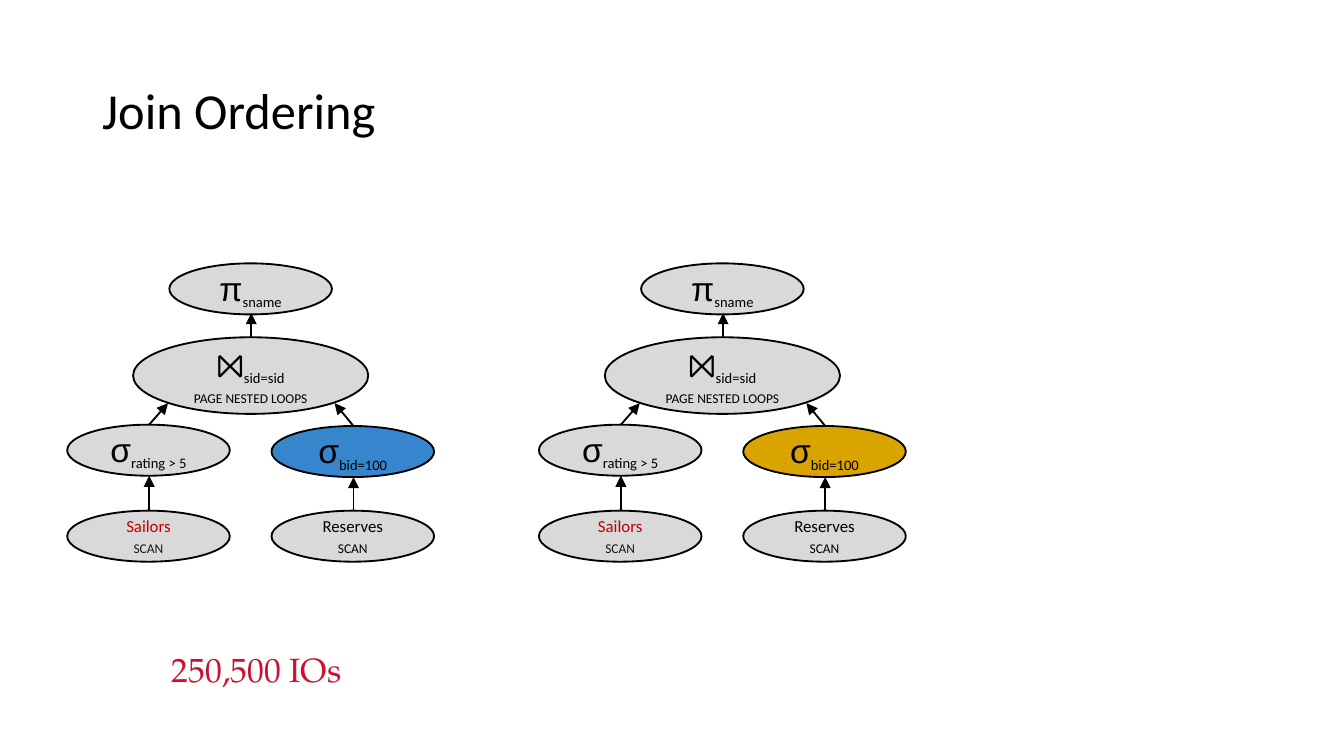
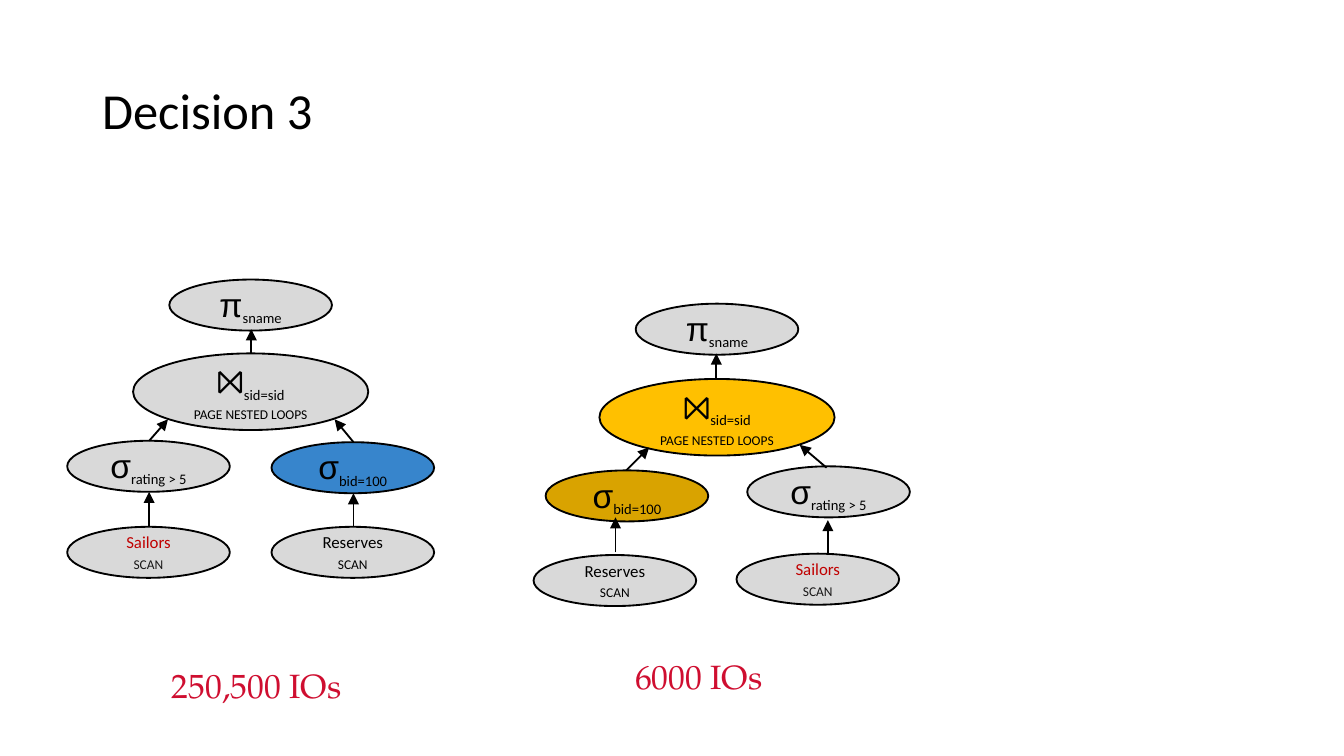
from dataclasses import dataclass

from lxml.etree import SubElement as Sub
from pptx import Presentation
from pptx.dml.color import RGBColor as Rgb
from pptx.enum.shapes import MSO_CONNECTOR as Link, MSO_SHAPE as Form
from pptx.enum.text import MSO_ANCHOR as Anchor, PP_ALIGN as Align
from pptx.oxml.ns import qn
from pptx.util import Inches, Pt


@dataclass(frozen=True)
class Theme:
    ink: str = "000000"
    soft: str = "181717"
    gray: str = "D9D9D9"
    blue: str = "3785CC"
    gold: str = "D9A300"
    amber: str = "FFC000"
    red: str = "C00000"
    cost: str = "CF0E30"
    sans: str = "Calibri"
    math: str = "Arial"
    serif: str = "TeX Gyre Pagella"
    head: float = 27
    big: float = 18
    sub: float = 13.5
    small: float = 9


T = Theme()


def sign(mark, note):
    return [(mark, dict(font=T.math, size=T.big)), (note, dict(size=T.sub, base=-25))]


def scan(name, hue, tint):
    return [[(name, dict(color=hue))], [("scan", dict(color=tint, caps=True))]]


NODES = {
    "project": [sign("π", "sname")],
    "join": [sign("⨝", "sid=sid") + ["\n", ("page nested loops", dict(caps=True))]],
    "rating": [sign("σ", "rating > 5")],
    "bid": [sign("σ", "bid=100")],
    "sailors": scan("Sailors", T.red, T.soft),
    "reserves": scan("Reserves", T.ink, T.ink),
}

EVEN = dict(
    spots=dict(project=(0.76, 0), join=(0.49, 0.55), rating=(0, 1.2),
               bid=(1.52, 1.21), sailors=(0, 1.84), reserves=(1.52, 1.84)),
    arrows=[(0.61, 1.84, 0.61, 1.58), (2.13, 1.84, 2.13, 1.59),
            (0.61, 1.2, 0.75, 1.04), (2.13, 1.21, 1.99, 1.04),
            (1.37, 0.55, 1.37, 0.37)],
)
SWAP = dict(
    spots=dict(project=(0.76, 0), join=(0.49, 0.56), bid=(0.09, 1.24),
               rating=(1.59, 1.21), reserves=(0, 1.87), sailors=(1.51, 1.86)),
    arrows=[(0.61, 1.85, 0.61, 1.59), (2.19, 1.87, 2.19, 1.61),
            (0.69, 1.24, 0.86, 1.07), (2.18, 1.22, 1.98, 1.05),
            (1.36, 0.55, 1.36, 0.37)],
)

SLIDES = [
    dict(title="Join Ordering",
         trees=[(0.5, 1.96, EVEN, dict(bid=T.blue)),
                (4.01, 1.96, EVEN, dict(bid=T.gold))],
         costs=[("250,500 IOs", 1.13, 4.79)]),
    dict(title="Decision 3",
         trees=[(0.5, 2.08, EVEN, dict(bid=T.blue)),
                (3.97, 2.26, SWAP, dict(bid=T.gold, join=T.amber))],
         costs=[("250,500 IOs", 1.13, 4.91), ("6000 IOs", 4.42, 4.84)]),
]


def write(shape, paras, align=Align.CENTER, wrap=True, pad=(0.07, 0.04), space=None, **base):
    frame = shape.text_frame
    frame.word_wrap = wrap
    frame.vertical_anchor = Anchor.MIDDLE
    frame.margin_left = frame.margin_right = Inches(pad[0])
    frame.margin_top = frame.margin_bottom = Inches(pad[1])
    for n, parts in enumerate(paras):
        para = frame.add_paragraph() if n else frame.paragraphs[0]
        para.alignment = align
        if space:
            para.line_spacing = space
        for part in parts:
            if part == "\n":
                para.add_line_break()
                continue
            words, style = part
            look = dict(font=T.sans, size=T.small, color=T.ink) | base | style
            run = para.add_run()
            run.text = words
            run.font.name = look["font"]
            run.font.size = Pt(look["size"])
            run.font.color.rgb = Rgb.from_string(look["color"])
            props = run.font._element
            if "base" in look:
                props.set("baseline", str(look["base"] * 1000))
            if look.get("caps"):
                props.set("cap", "small")


def label(slide, words, box, **kind):
    write(slide.shapes.add_textbox(*map(Inches, box)), [[(words, {})]], **kind)


def oval(slide, name, left, top, fill):
    size = (1.75, 0.57) if name == "join" else (1.21, 0.38)
    shape = slide.shapes.add_shape(Form.OVAL, *map(Inches, (left, top, *size)))
    shape.shadow.inherit = False
    shape.fill.solid()
    shape.fill.fore_color.rgb = Rgb.from_string(fill)
    shape.line.color.rgb = Rgb.from_string(T.ink)
    shape.line.width = Pt(1)
    write(shape, NODES[name])


def arrow(slide, ends):
    line = slide.shapes.add_connector(Link.STRAIGHT, *map(Inches, ends))
    line.line.color.rgb = Rgb.from_string(T.ink)
    line.line.width = Pt(1)
    Sub(line.line._get_or_add_ln(), qn("a:tailEnd"), type="triangle")
    Sub(line._element.spPr, qn("a:effectLst"))


def tree(slide, left, top, plan, fills):
    for name, (x, y) in plan["spots"].items():
        oval(slide, name, left + x, top + y, fills.get(name, T.gray))
    for x1, y1, x2, y2 in plan["arrows"]:
        arrow(slide, (left + x1, top + y1, left + x2, top + y2))


def main():
    deck = Presentation()
    deck.slide_width = Inches(10)
    deck.slide_height = Inches(10) * 9 // 16
    for data in SLIDES:
        slide = deck.slides.add_slide(deck.slide_layouts[6])
        label(slide, data["title"], (0.69, 0.3, 8.62, 1.09),
              align=Align.LEFT, space=0.9, size=T.head)
        for words, left, top in data["costs"]:
            label(slide, words, (left, top, 1.56, 0.38), wrap=False,
                  pad=(0.1, 0.05), font=T.serif, size=T.big, color=T.cost)
        for item in data["trees"]:
            tree(slide, *item)
    deck.save("out.pptx")


if __name__ == "__main__":
    main()
